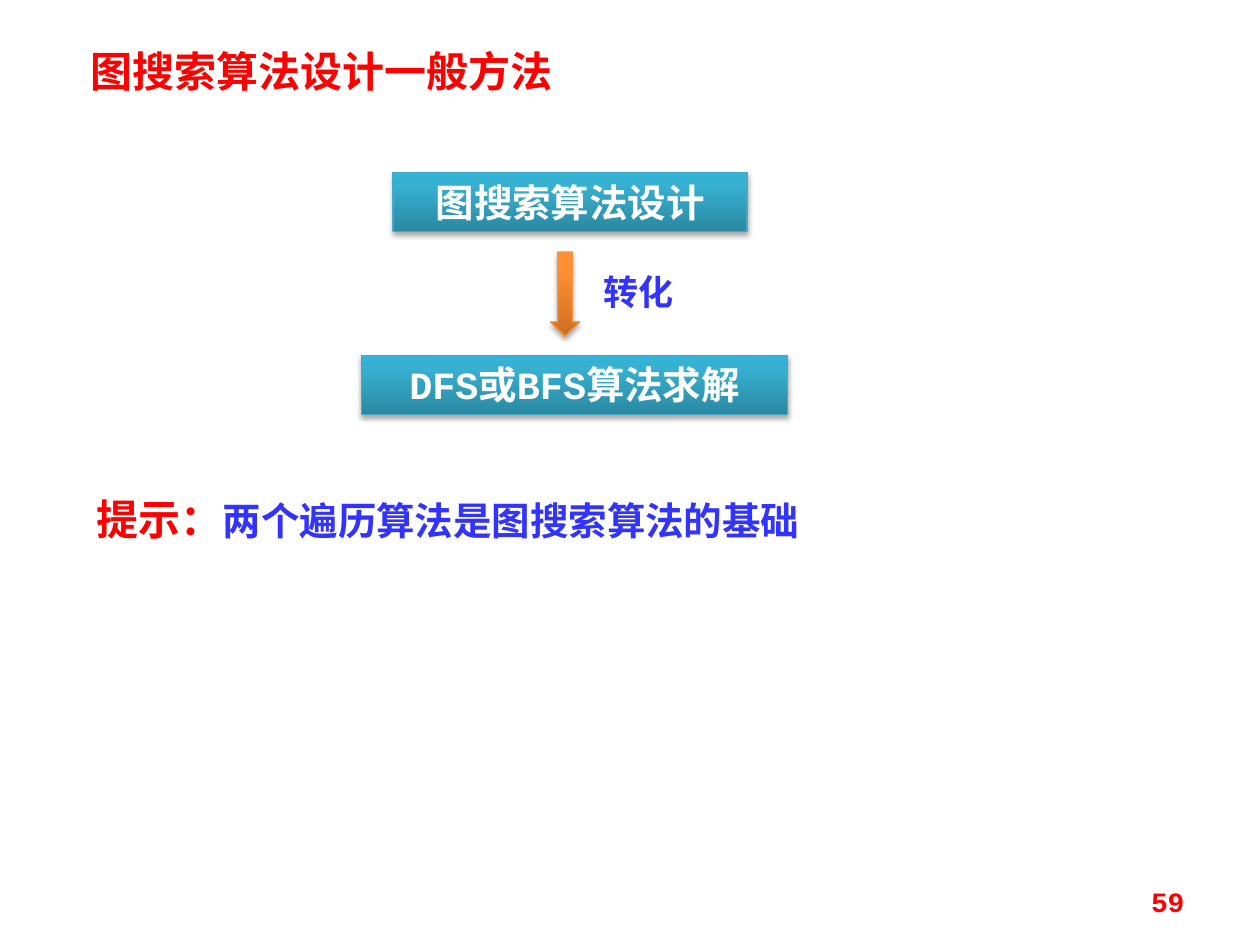
from lxml.etree import SubElement
from pptx import Presentation
from pptx.dml.color import RGBColor
from pptx.enum.shapes import MSO_SHAPE
from pptx.enum.text import MSO_ANCHOR, MSO_AUTO_SIZE, PP_ALIGN
from pptx.oxml import parse_xml
from pptx.oxml.ns import nsdecls, qn
from pptx.util import Inches, Pt

RED = RGBColor(0xFF, 0x00, 0x00)
BLUE = RGBColor(0x33, 0x33, 0xFF)
WHITE = RGBColor(0xFF, 0xFF, 0xFF)
TEAL_LINE = RGBColor(0x46, 0xAA, 0xC5)
ORANGE_LINE = RGBColor(0xF6, 0x92, 0x40)
# Gradient stops from bottom to top: position in percent, colour
TEAL_STOPS = [(0, "2A88A2"), (80, "37B1D2"), (100, "34B4D6")]
ORANGE_STOPS = [(0, "CC6E20"), (80, "FF9034"), (100, "FF9136")]

CHINESE_FONT = "Noto Sans CJK SC"
CODE_FONT = "Courier New"

# Positions are left, top, width, height in inches
TITLE = ("图搜索算法设计一般方法", (0.62, 0.31, 4.69, 0.5))
STEPS = [
    ("图搜索算法设计", (3.12, 1.37, 2.81, 0.47)),
    ("DFS或BFS算法求解", (2.87, 2.82, 3.38, 0.47)),
]
ARROW_BOX = (4.37, 2, 0.23, 0.67)
ARROW_LABEL = ("转化", (4.69, 2.1, 0.94, 0.44))
HINT_RUNS = [("提示：", 24, RED), ("两个遍历算法是图搜索算法的基础", 22, BLUE)]
HINT_BOX = (0.67, 3.87, 5.95, 0.5)
PAGE_NUMBER = ("59", (7.17, 6.95, 2.33, 0.4))


def write_text(shape, runs, font=CHINESE_FONT, align=PP_ALIGN.LEFT, anchor=MSO_ANCHOR.TOP):
    """Fill a shape with one paragraph of (text, size, colour) runs."""
    frame = shape.text_frame
    frame.word_wrap = True
    frame.auto_size = MSO_AUTO_SIZE.NONE
    frame.vertical_anchor = anchor
    paragraph = frame.paragraphs[0]
    paragraph.alignment = align
    for text, size, color in runs:
        run = paragraph.add_run()
        run.text = text
        run.font.size = Pt(size)
        run.font.bold = True
        run.font.name = font
        run.font.color.rgb = color
        SubElement(run.font._element, qn("a:ea"), typeface=CHINESE_FONT)


def add_text(slide, box, runs, **text_format):
    write_text(slide.shapes.add_textbox(*map(Inches, box)), runs, **text_format)


def add_raised_shape(slide, kind, box, stops, line_color):
    """Add a shape with a vertical gradient and a soft shadow below it."""
    shape = slide.shapes.add_shape(kind, *map(Inches, box))
    shape.fill.gradient()
    shape.fill.gradient_angle = 90
    stop_list = shape._element.spPr.find(qn("a:gradFill")).find(qn("a:gsLst"))
    stop_list.clear()
    for position, color in stops:
        stop = SubElement(stop_list, qn("a:gs"), pos=str(position * 1000))
        SubElement(stop, qn("a:srgbClr"), val=color)
    shape.line.color.rgb = line_color
    shape.line.width = Pt(0.75)
    shape.shadow.inherit = False
    shape._element.spPr.find(qn("a:effectLst")).append(parse_xml(
        f'<a:outerShdw {nsdecls("a")} blurRad="{Pt(3.1)}" dist="{Pt(1.8)}" '
        'dir="5400000" rotWithShape="0"><a:srgbClr val="000000">'
        '<a:alpha val="35000"/></a:srgbClr></a:outerShdw>'))
    return shape


def main():
    presentation = Presentation()
    presentation.slide_width = Inches(10)
    presentation.slide_height = Inches(7.5)
    slide = presentation.slides.add_slide(presentation.slide_layouts[5])

    text, box = TITLE
    title = slide.shapes.title
    title.left, title.top, title.width, title.height = map(Inches, box)
    write_text(title, [(text, 24, RED)])

    for text, box in STEPS:
        step = add_raised_shape(slide, MSO_SHAPE.RECTANGLE, box, TEAL_STOPS, TEAL_LINE)
        write_text(step, [(text, 22, WHITE)], font=CODE_FONT, align=PP_ALIGN.CENTER)
    add_raised_shape(slide, MSO_SHAPE.DOWN_ARROW, ARROW_BOX, ORANGE_STOPS, ORANGE_LINE)

    text, box = ARROW_LABEL
    add_text(slide, box, [(text, 20, BLUE)])
    add_text(slide, HINT_BOX, HINT_RUNS)
    text, box = PAGE_NUMBER
    add_text(slide, box, [(text, 16, RED)], font=CODE_FONT,
             align=PP_ALIGN.RIGHT, anchor=MSO_ANCHOR.MIDDLE)

    presentation.save("out.pptx")


if __name__ == "__main__":
    main()
